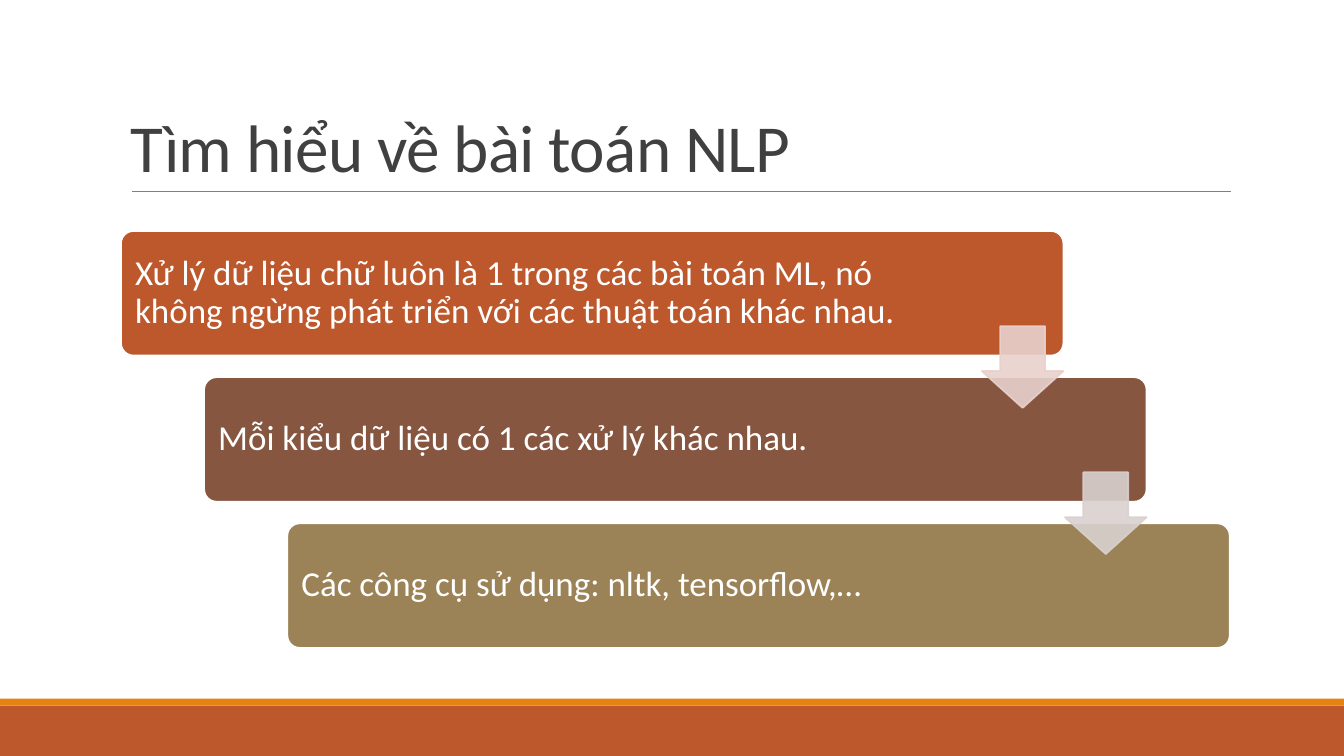
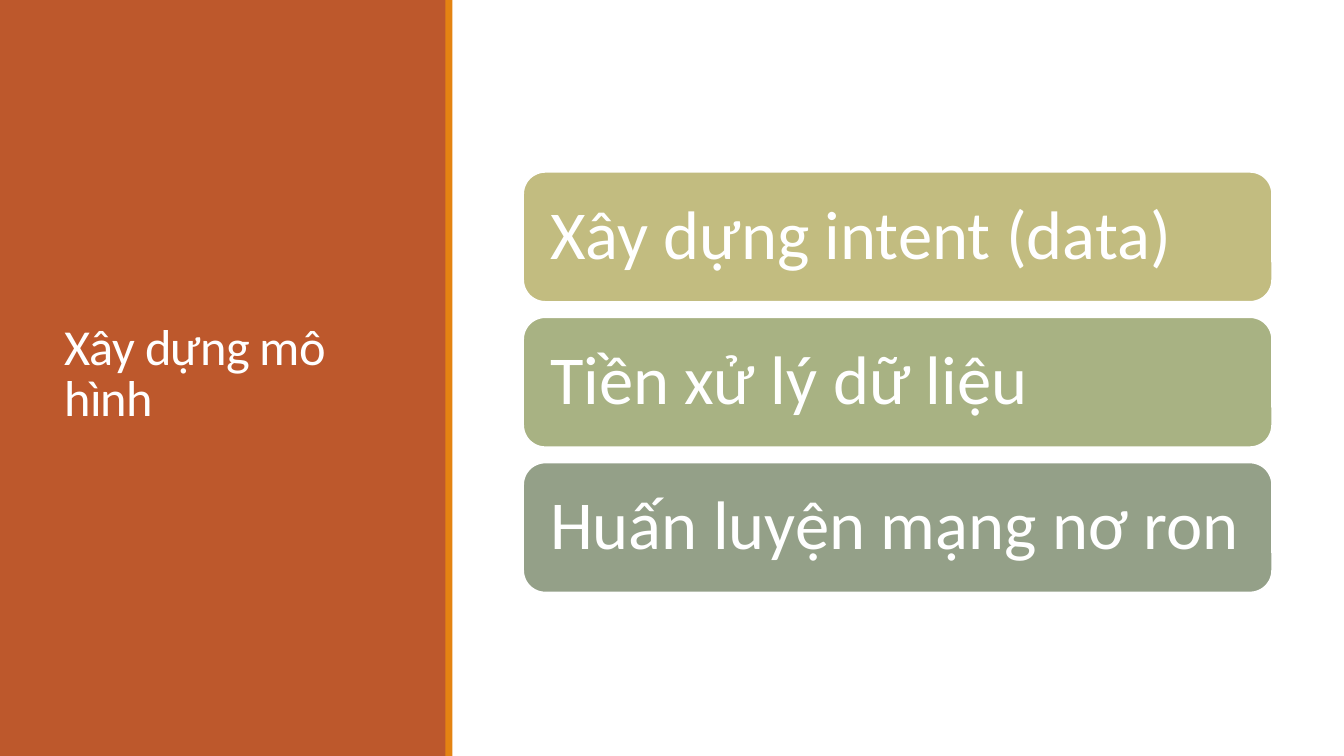
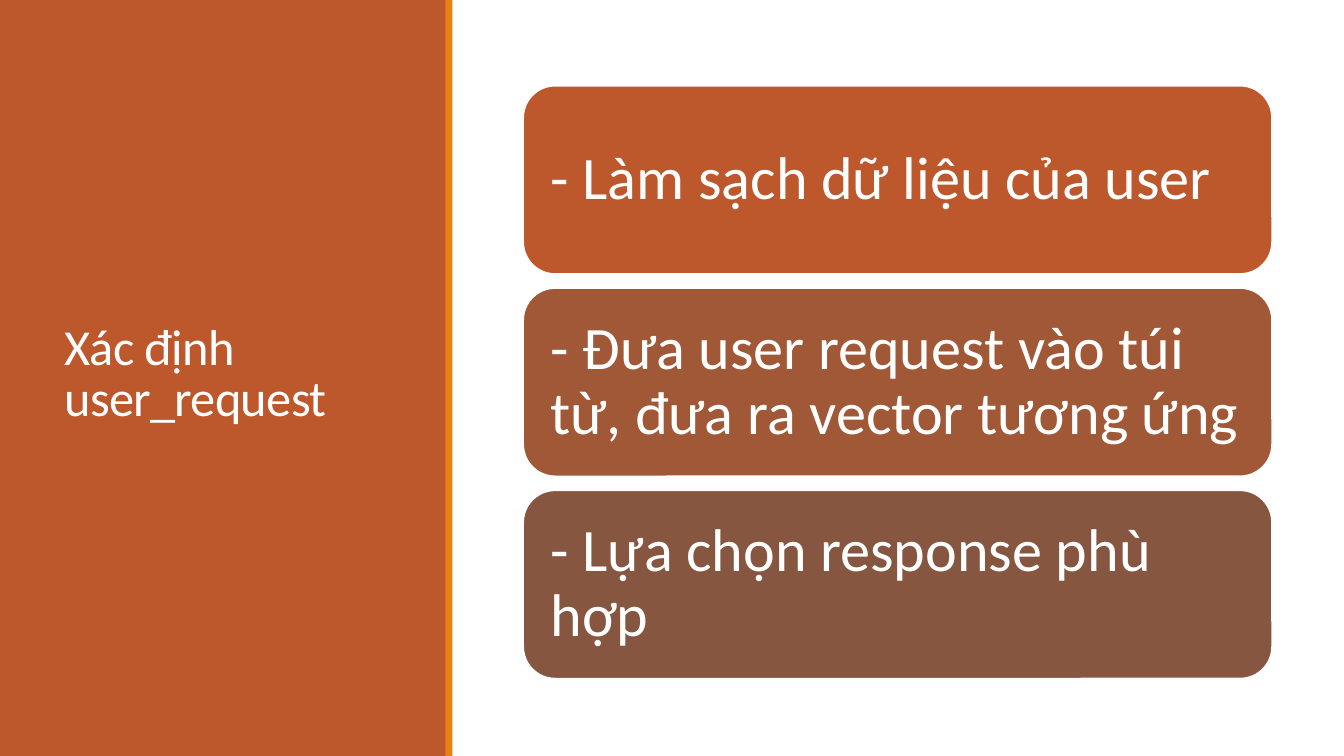
from pptx import Presentation
from pptx.dml.color import RGBColor
from pptx.enum import shapes, text
from pptx.oxml import parse_xml
from pptx.oxml.ns import nsdecls
from pptx.util import Pt

# Content
STAIRS = {
    "title": "Tìm hiểu về bài toán NLP",
    "steps": [
        "Xử lý dữ liệu chữ luôn là 1 trong các bài toán ML, nó không ngừng phát triển "
        "với các thuật toán khác nhau.",
        "Mỗi kiểu dữ liệu có 1 các xử lý khác nhau.",
        "Các công cụ sử dụng: nltk, tensorflow,…",
    ],
}
RUST = RGBColor(0xBD, 0x58, 0x2C)
ORANGE = RGBColor(0xE4, 0x83, 0x12)
SIENNA = RGBColor(0xA0, 0x58, 0x37)
BROWN = RGBColor(0x86, 0x56, 0x40)
KHAKI = RGBColor(0x9B, 0x83, 0x57)
SAND = RGBColor(0xC2, 0xBC, 0x80)
OLIVE = RGBColor(0xA8, 0xB2, 0x83)
SAGE = RGBColor(0x94, 0xA0, 0x88)
PINK = RGBColor(0xE8, 0xD1, 0xCD)
STONE = RGBColor(0xD9, 0xD1, 0xCF)
WHITE = RGBColor(0xFF, 0xFF, 0xFF)
CHARCOAL = RGBColor(0x40, 0x40, 0x40)
GRAY = RGBColor(0x80, 0x80, 0x80)
STEP_COLORS = [RUST, BROWN, KHAKI]
ARROW_COLORS = [PINK, STONE]

PANELS = [
    {"title": "Xây dựng mô hình", "size": 49, "height": 92.9, "gap": 10.9,
     "cards": [("Xây dựng intent (data)", SAND), ("Tiền xử lý dữ liệu", OLIVE),
               ("Huấn luyện mạng nơ ron", SAGE)]},
    {"title": "Xác định user_request", "size": 43, "height": 134.6, "gap": 9.9,
     "cards": [("- Làm sạch dữ liệu của user", RUST),
               ("- Đưa user request vào túi từ, đưa ra vector tương ứng", SIENNA),
               ("- Lựa chọn response phù hợp", BROWN)]},
]

# Shared format
WIDTH, HEIGHT = 960, 540
FONT = "Calibri"
CARD_LINE = 1.25
BAND = 5
SHAPE = shapes.MSO_SHAPE
ANCHOR = text.MSO_ANCHOR


def pts(*lengths):
    return [Pt(length) for length in lengths]


def write(frame, words, size, color, spacing, anchor, **margins):
    """Put one left-aligned paragraph into a frame and return its run."""
    settings = {"word_wrap": True, "vertical_anchor": anchor, **margins}
    for name, value in settings.items():
        setattr(frame, name, value)
    paragraph = frame.paragraphs[0]
    paragraph.alignment = text.PP_ALIGN.LEFT
    paragraph.line_spacing = spacing
    run = paragraph.add_run()
    run.text = words
    for name, value in {"name": FONT, "size": Pt(size)}.items():
        setattr(run.font, name, value)
    run.font.color.rgb = color
    return run


def add_title(slide, words, box, size, color, anchor):
    frame = slide.shapes.add_textbox(*pts(*box)).text_frame
    run = write(frame, words, size, color, 0.85, anchor)
    run.font._element.set("spc", "-50")


def add_block(slide, preset, box, fill, line=None):
    block = slide.shapes.add_shape(preset, *pts(*box))
    block.shadow.inherit = False
    block.fill.solid()
    block.fill.fore_color.rgb = fill
    if line is None:
        block.line.fill.background()
    else:
        block.line.color.rgb = line
        block.line.width = Pt(CARD_LINE)
    return block


def add_card(slide, words, box, fill, size, corner=0.17, spare=0):
    """Rounded card; spare keeps room free at its right side."""
    card = add_block(slide, SHAPE.ROUNDED_RECTANGLE, box, fill, WHITE)
    card.adjustments[0] = corner
    inset = 0.3 * size
    write(card.text_frame, words, size, WHITE, 0.9, ANCHOR.MIDDLE,
          margin_left=Pt(inset), margin_right=Pt(inset + spare),
          margin_top=Pt(inset), margin_bottom=Pt(inset))


def add_down_arrow(slide, box, color):
    arrow = add_block(slide, SHAPE.DOWN_ARROW, box, color, color)
    arrow.adjustments[0], arrow.adjustments[1] = 0.55, 0.45
    for tint in arrow._element.spPr.xpath(".//a:srgbClr"):
        tint.append(parse_xml(f'<a:alpha {nsdecls("a")} val="90000"/>'))


def build_stairs(prs, content):
    slide = prs.slides.add_slide(prs.slide_layouts[6])
    left, span = 86.4, 792

    # Footer bands
    footer_top = 504
    add_block(slide, SHAPE.RECTANGLE, (0, footer_top, WIDTH, HEIGHT - footer_top), RUST)
    add_block(slide, SHAPE.RECTANGLE, (0, footer_top - BAND, WIDTH, BAND), ORANGE)

    # Title and rule
    add_title(slide, content["title"], (left, 22.3, span, 114.5), 48, CHARCOAL, ANCHOR.BOTTOM)
    rule = slide.shapes.add_connector(
        shapes.MSO_CONNECTOR.STRAIGHT, *pts(94.3, 136.8, 879.1, 136.8))
    rule.line.color.rgb = GRAY
    rule.line.width = Pt(0.5)
    rule._element.spPr.append(parse_xml(f'<a:effectLst {nsdecls("a")}/>'))

    # Steps, each one lower and further right
    top, width, height, pitch = 165, 673.2, 89, 104.4
    shift = (span - width) / (len(content["steps"]) - 1)
    for i, (words, color) in enumerate(zip(content["steps"], STEP_COLORS)):
        box = (left + i * shift, top + i * pitch, width, height)
        add_card(slide, words, box, color, 25, corner=0.1, spare=91)

    # Arrows from step to step
    side, drop = 58.3, 68
    for i, color in enumerate(ARROW_COLORS):
        x = left + i * shift + width - side
        add_down_arrow(slide, (x, top + i * pitch + drop, side, side), color)


def build_panel(prs, content):
    slide = prs.slides.add_slide(prs.slide_layouts[6])

    # Side panel with title
    add_block(slide, SHAPE.RECTANGLE, (0, 0, 319, HEIGHT), RUST)
    add_title(slide, content["title"], (38.9, 41, 242.6, 454.3), 36, WHITE, ANCHOR.MIDDLE)
    add_block(slide, SHAPE.RECTANGLE, (318.2, 0, BAND, HEIGHT), ORANGE)

    # Cards, stacked around a common centre
    center, left, width = 273, 373.7, 535
    height, pitch = content["height"], content["height"] + content["gap"]
    top = center - (pitch * len(content["cards"]) - content["gap"]) / 2
    for i, (words, color) in enumerate(content["cards"]):
        add_card(slide, words, (left, top + i * pitch, width, height), color, content["size"])


def main():
    prs = Presentation()
    prs.slide_width, prs.slide_height = pts(WIDTH, HEIGHT)
    build_stairs(prs, STAIRS)
    for panel in PANELS:
        build_panel(prs, panel)
    prs.save("out.pptx")


if __name__ == "__main__":
    main()
